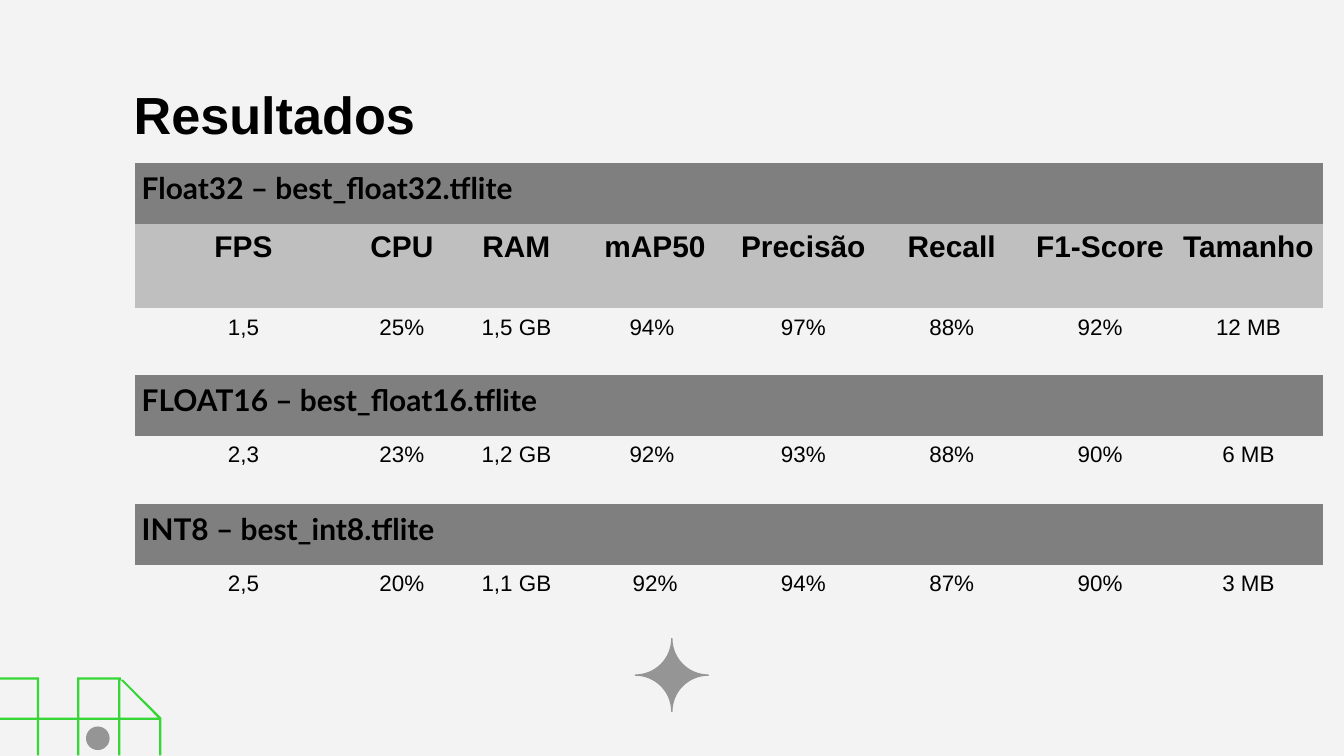
"""Build the results slide comparing three quantised models."""
import math
from dataclasses import dataclass
from typing import Any

from pptx import Presentation, util as u
from pptx.dml import color
from pptx.enum import shapes, text

COLOURS = {"page": "F3F3F3", "ink": "000000", "green": "36D636",
           "grey": "959595", "band": "7F7F7F", "header": "BFBFBF"}
NO_GRID_STYLE = "{2D5ABB26-0587-4C30-8999-92F81FD0307C}"
TITLE = {"name": "Arial", "size": u.Pt(56), "bold": True}
MODEL = {"name": "Lato", "size": u.Pt(32), "bold": True}
HEADER = {"name": "Arial", "size": u.Pt(32), "bold": True}
VALUE = {"name": "Arial", "size": u.Pt(24), "bold": False}
COLUMN_WIDTHS = [8.2, 3.78, 4.88] + [5.61] * 5

Point = tuple[float, float]


@dataclass
class Row:
    """One table row; a single text spans every column."""
    height: float
    texts: list[str]
    style: dict[str, Any]
    fill: str | None = None


ROWS = [
    Row(2.29, ["Float32 – best_float32.tflite"], MODEL, "band"),
    Row(3.2, ["FPS", "CPU", "RAM", "mAP50", "Precisão", "Recall", "F1-Score", "Tamanho"],
        HEADER, "header"),
    Row(2.54, ["1,5", "25%", "1,5 GB", "94% ", "97%", "88%", "92%", "12 MB"], VALUE),
    Row(2.29, ["FLOAT16 – best_float16.tflite"], MODEL, "band"),
    Row(2.59, ["2,3", "23%", "1,2 GB", "92% ", "93%", "88%", "90%", "6 MB"], VALUE),
    Row(2.29, ["INT8 – best_int8.tflite"], MODEL, "band"),
    Row(2.59, ["2,5", "20%", "1,1 GB", "92%", "94%", "87%", "90%", "3 MB"], VALUE),
]


def colour(name: str) -> color.RGBColor:
    """Look up a named colour."""
    return color.RGBColor.from_string(COLOURS[name])


def write(frame: Any, words: str, style: dict[str, Any], align: Any) -> Any:
    """Write one formatted paragraph and return it."""
    para = frame.paragraphs[0]
    para.alignment = align
    span = para.add_run()
    span.text = words
    for name, value in style.items():
        setattr(span.font, name, value)
    span.font.color.rgb = colour("ink")
    return para


def set_margins(target: Any, left: float, top: float, right: float, bottom: float) -> None:
    """Set the four inner margins."""
    for side, value in zip(("left", "top", "right", "bottom"), (left, top, right, bottom)):
        setattr(target, f"margin_{side}", u.Cm(value))


def paint(shape: Any, name: str, line_width: float = 0) -> None:
    """Fill a shape, with a line of the same colour if it has a width."""
    shape.shadow.inherit = False
    shape.fill.solid()
    shape.fill.fore_color.rgb = colour(name)
    if line_width:
        shape.line.color.rgb = colour(name)
        shape.line.width = u.Pt(line_width)
    else:
        shape.line.fill.background()


def draw_outline(page: Any, contours: list[list[Point]]) -> Any:
    """Draw closed contours as one freeform."""
    paths = [[(u.Cm(x), u.Cm(y)) for x, y in contour] for contour in contours]
    builder = page.shapes.build_freeform(*paths[0][0], scale=1.0)
    for index, points in enumerate(paths):
        if index:
            builder.move_to(*points[0])
        builder.add_line_segments(points[1:], close=True)
    return builder.convert_to_shape()


def bar(left: float, top: float, right: float, bottom: float) -> list[Point]:
    """Return the corners of a bar."""
    return [(left, top), (right, top), (right, bottom), (left, bottom)]


def draw_grid(page: Any) -> None:
    """Draw the green corner grid and its dot."""
    contours = [bar(x, top, x + 0.08, bottom) for x in (1.4, 2.92, 4.47)
                for top, bottom in ((25.71, 27.15), (27.23, 28.58))]
    contours += [bar(0, 25.63, 1.48, 25.71), bar(2.92, 25.63, 4.57, 25.71),
                 bar(0, 27.15, 6.1, 27.23), bar(6.02, 27.23, 6.1, 28.58),
                 [(4.55, 25.71), (4.65, 25.71), (6.1, 27.15), (5.97, 27.15)]]
    paint(draw_outline(page, contours), "green")
    dot = page.shapes.add_shape(shapes.MSO_SHAPE.OVAL, u.Cm(3.28), u.Cm(27.51),
                                u.Cm(0.84), u.Cm(0.84))
    paint(dot, "grey", 1.47)


def draw_star(page: Any, x: float, y: float, radius: float, steps: int = 16) -> None:
    """Draw a star whose sides are quarter circles around the corners."""
    points = []
    for quarter in range(4):
        corner = math.pi / 4 + quarter * math.pi / 2
        start = 3 * math.pi / 2 + quarter * math.pi / 2
        for step in range(steps):
            angle = start - step * math.pi / 2 / steps
            points.append((x + radius * (math.sqrt(2) * math.cos(corner) + math.cos(angle)),
                           y + radius * (math.sqrt(2) * math.sin(corner) + math.sin(angle))))
    paint(draw_outline(page, [points]), "grey", 1.47)


def draw_title(page: Any) -> None:
    """Place and format the title."""
    title = page.shapes.title
    title.left, title.top, title.width, title.height = map(u.Cm, (4.14, 3.07, 20.14, 2.44))
    frame = title.text_frame
    set_margins(frame, 0, 0.05, 0, 0)
    frame.word_wrap = True
    frame.vertical_anchor = text.MSO_ANCHOR.TOP
    frame.auto_size = text.MSO_AUTO_SIZE.SHAPE_TO_FIT_TEXT
    para = write(frame, "Resultados", TITLE, text.PP_ALIGN.LEFT)
    properties = para._p.get_or_add_pPr()
    properties.set("marL", str(u.Cm(0.91)))
    properties.set("indent", "0")


def draw_table(page: Any) -> None:
    """Draw the table of results."""
    width, height = sum(COLUMN_WIDTHS), sum(row.height for row in ROWS)
    holder = page.shapes.add_table(len(ROWS), len(COLUMN_WIDTHS), u.Cm(5.11), u.Cm(6.17),
                                   u.Cm(width), u.Cm(height))
    table = holder.table
    table.first_row = table.horz_banding = False
    table._tbl.tblPr[0].text = NO_GRID_STYLE
    for column, column_width in zip(table.columns, COLUMN_WIDTHS):
        column.width = u.Cm(column_width)
    for index, row in enumerate(ROWS):
        table.rows[index].height = u.Cm(row.height)
        cells = list(table.rows[index].cells)
        for cell in cells:
            set_margins(cell, 0.25, 0.25, 0.25, 0.25)
            if row.fill:
                cell.fill.solid()
                cell.fill.fore_color.rgb = colour(row.fill)
            else:
                cell.fill.background()
        align = text.PP_ALIGN.CENTER
        if len(row.texts) == 1:
            cells[0].merge(cells[-1])
            align = text.PP_ALIGN.JUSTIFY
        for cell, words in zip(cells, row.texts):
            write(cell.text_frame, words, row.style, align)


def main() -> None:
    """Build and save the deck."""
    deck = Presentation()
    deck.slide_width, deck.slide_height = u.Cm(50.83), u.Cm(28.6)
    page = deck.slides.add_slide(deck.slide_layouts[5])
    page.background.fill.solid()
    page.background.fill.fore_color.rgb = colour("page")
    draw_grid(page)
    draw_star(page, 25.41, 25.54, 1.38)
    draw_title(page)
    draw_table(page)
    deck.save("out.pptx")


if __name__ == "__main__":
    main()
